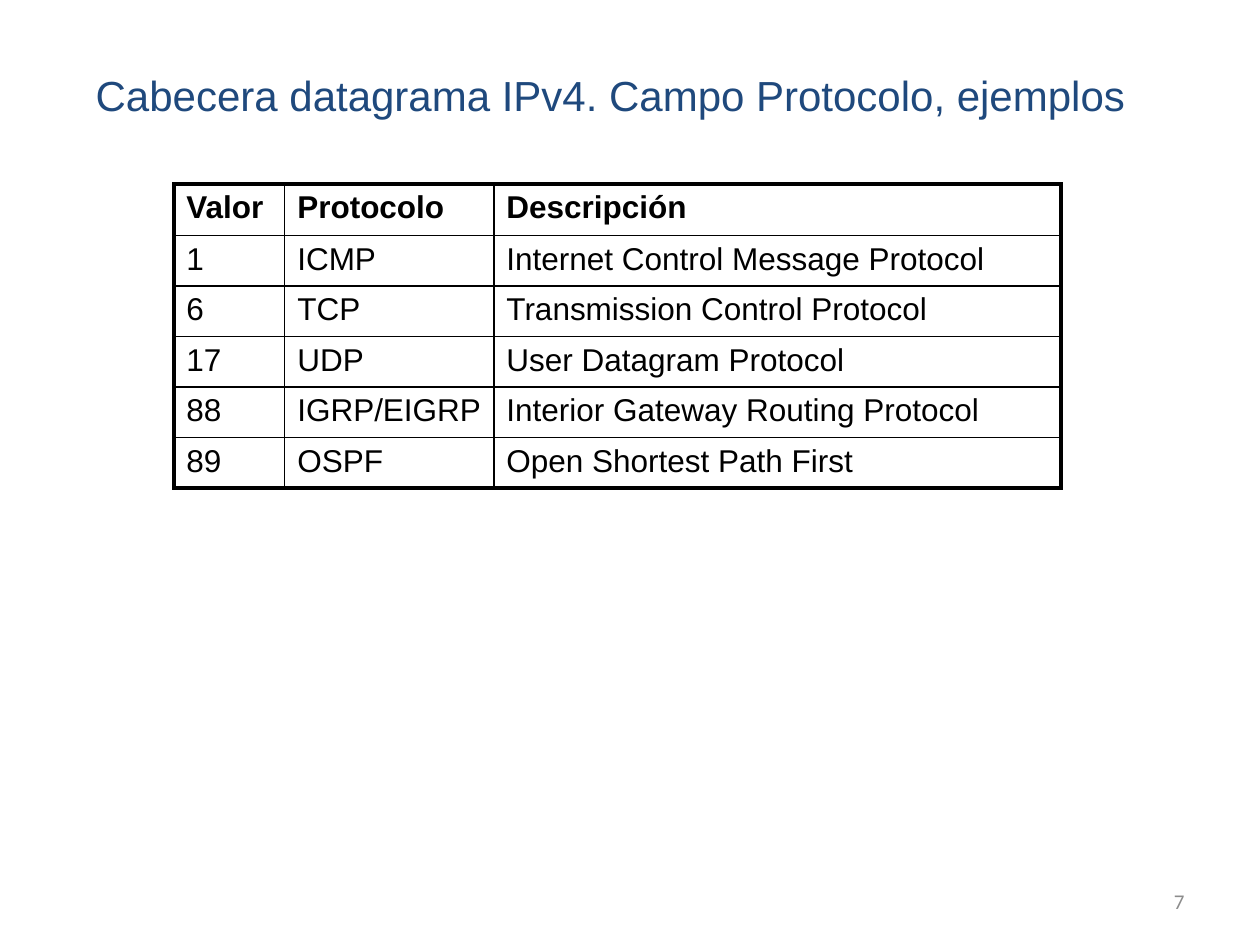
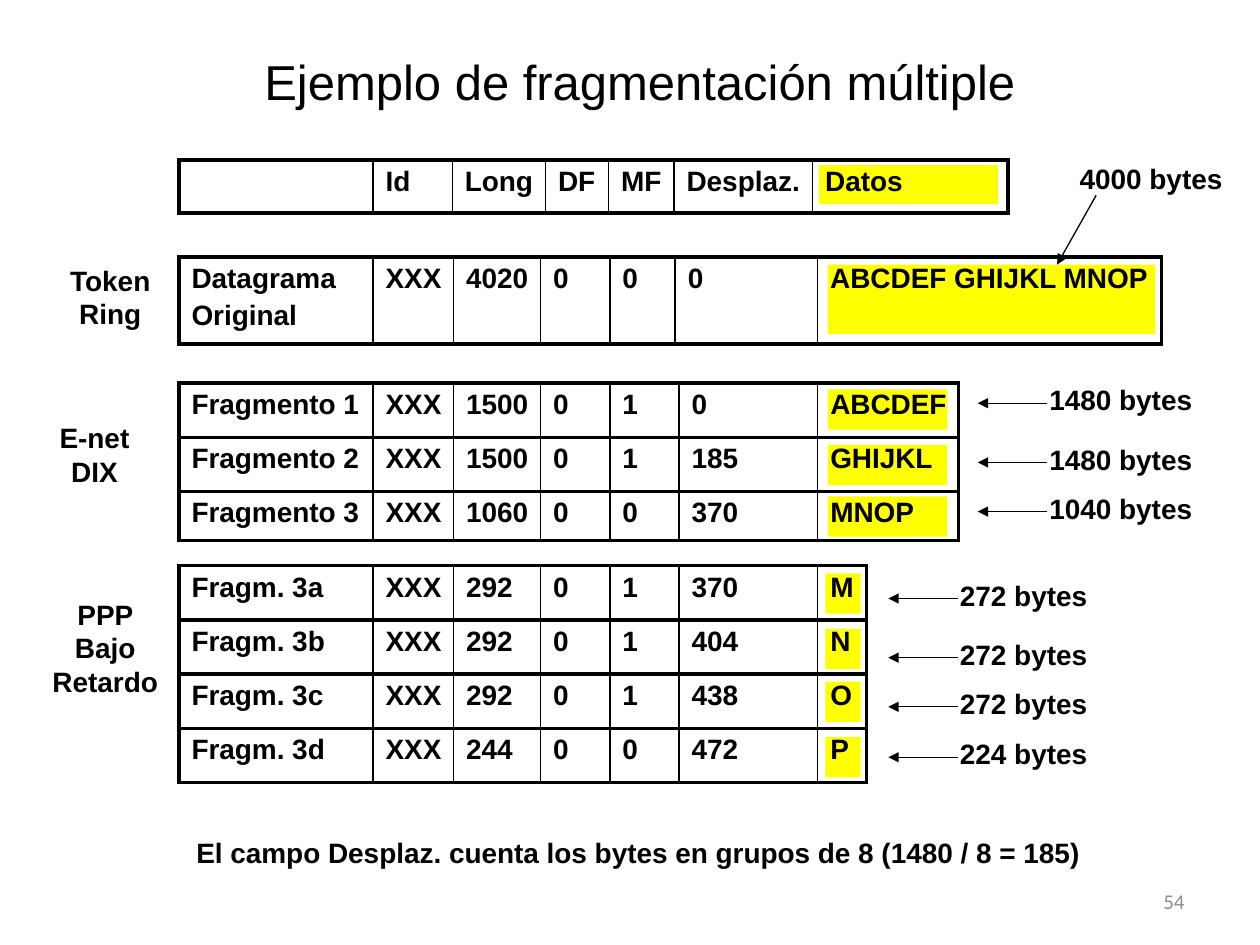
from dataclasses import dataclass

from lxml.etree import SubElement
from pptx import Presentation
from pptx.dml.color import RGBColor
from pptx.enum.shapes import MSO_CONNECTOR, MSO_SHAPE
from pptx.enum.text import MSO_ANCHOR as Anchor, PP_ALIGN as Align
from pptx.oxml.ns import qn
from pptx.util import Inches, Pt


@dataclass(frozen=True)
class Theme:
    font: str = "Arial"
    number_font: str = "Calibri"
    ink: str = "000000"
    title_start: str = "1F497D"
    title_end: str = "28A7DF"
    muted: str = "8C8C8C"
    highlight: str = "FFFF00"
    title_size: float = 28
    long_title_size: float = 24
    protocol_size: float = 18
    body_size: float = 16
    number_size: float = 12
    thick: float = 2.25
    thin: float = 1
    arrow: float = 0.75


THEME = Theme()
NO_TABLE_STYLE = "{2D5ABB26-0587-4C30-8999-92F81FD0307C}"

PROTOCOLS = [
    ("Valor", "Protocolo", "Descripción"),
    ("1", "ICMP", "Internet Control Message Protocol"),
    ("6", "TCP", "Transmission Control Protocol"),
    ("17", "UDP", "User Datagram Protocol"),
    ("88", "IGRP/EIGRP", "Interior Gateway Routing Protocol"),
    ("89", "OSPF", "Open Shortest Path First"),
]
FIELDS = [("", "Id", "Long", "DF", "MF", "Desplaz.", "Datos")]
DATAGRAM = [("Datagrama\nOriginal", "XXX", "4020", "0", "0", "0", "ABCDEF GHIJKL MNOP")]
ETHERNET_FRAGMENTS = [
    ("Fragmento 1", "XXX", "1500", "0", "1", "0", "ABCDEF"),
    ("Fragmento 2", "XXX", "1500", "0", "1", "185", "GHIJKL"),
    ("Fragmento 3", "XXX", "1060", "0", "0", "370", "MNOP"),
]
PPP_FRAGMENTS = [
    ("Fragm. 3a", "XXX", "292", "0", "1", "370", "M"),
    ("Fragm. 3b", "XXX", "292", "0", "1", "404", "N"),
    ("Fragm. 3c", "XXX", "292", "0", "1", "438", "O"),
    ("Fragm. 3d", "XXX", "244", "0", "0", "472", "P"),
]


def write_text(frame, text, *, size=THEME.body_size, bold=False, color=THEME.ink,
               gradient_to=None, font=THEME.font, align=Align.LEFT, line_spacing=None):
    """Write one paragraph per line of text; later paragraphs get a 20 % gap."""
    for index, line in enumerate(text.split("\n")):
        paragraph = frame.add_paragraph() if index else frame.paragraphs[0]
        paragraph.alignment = align
        if index:
            paragraph.space_before = Pt(size * 0.2)
        if line_spacing:
            paragraph.line_spacing = line_spacing
        run = paragraph.add_run()
        run.text = line
        run.font.name, run.font.size, run.font.bold = font, Pt(size), bold
        if gradient_to:
            fill = run.font.fill
            fill.gradient()
            fill.gradient_angle = 330
            for stop, position, tone in zip(fill.gradient_stops, (0.16, 1),
                                            (color, gradient_to)):
                stop.position = position
                stop.color.rgb = RGBColor.from_string(tone)
        else:
            run.font.color.rgb = RGBColor.from_string(color)


def add_label(slide, text, left, top, width, height, *, wrap=True,
              anchor=Anchor.TOP, **text_format):
    box = slide.shapes.add_textbox(*map(Inches, (left, top, width, height)))
    box.text_frame.word_wrap = wrap
    box.text_frame.vertical_anchor = anchor
    write_text(box.text_frame, text, **text_format)


def add_page_number(slide, number):
    add_label(slide, number, 7.17, 6.95, 2.33, 0.4, anchor=Anchor.MIDDLE,
              size=THEME.number_size, font=THEME.number_font,
              color=THEME.muted, align=Align.RIGHT)


def add_highlight(slide, left, top, width, height):
    band = slide.shapes.add_shape(MSO_SHAPE.RECTANGLE,
                                  *map(Inches, (left, top, width, height)))
    band.shadow.inherit = False
    band.fill.solid()
    band.fill.fore_color.rgb = RGBColor.from_string(THEME.highlight)
    band.line.fill.background()


def set_borders(cell, **widths):
    """Draw the sides L, R, T and B, given in that order, in points."""
    properties = cell._tc.get_or_add_tcPr()
    for side, width in widths.items():
        border = SubElement(properties, qn(f"a:ln{side}"), w=str(Pt(width)))
        fill = SubElement(border, qn("a:solidFill"))
        SubElement(fill, qn("a:srgbClr"), val=THEME.ink)


def add_grid(slide, rows, left, top, widths, heights, *, rule=THEME.thick,
             size=THEME.body_size, bold_rows=None):
    """Add a table with a thick frame, thin column lines and the given row rule."""
    table = slide.shapes.add_table(
        len(rows), len(widths),
        *map(Inches, (left, top, sum(widths), sum(heights)))).table
    table.first_row = table.horz_banding = False
    table._tbl.tblPr.find(qn("a:tableStyleId")).text = NO_TABLE_STYLE
    for column, width in zip(table.columns, widths):
        column.width = Inches(width)
    for row, height in zip(table.rows, heights):
        row.height = Inches(height)

    last_row, last_column = len(rows) - 1, len(widths) - 1
    for r, values in enumerate(rows):
        for c, value in enumerate(values):
            cell = table.cell(r, c)
            cell.margin_right = Inches(0.05)  # keeps tight values on one line
            set_borders(cell,
                        L=THEME.thin if c else THEME.thick,
                        R=THEME.thin if c < last_column else THEME.thick,
                        T=rule if r else THEME.thick,
                        B=rule if r < last_row else THEME.thick)
            cell.fill.background()
            if value:
                write_text(cell.text_frame, value, size=size,
                           bold=bold_rows is None or r < bold_rows)


def add_arrow(slide, start, end):
    arrow = slide.shapes.add_connector(MSO_CONNECTOR.STRAIGHT,
                                       *map(Inches, (*start, *end)))
    arrow.line.color.rgb = RGBColor.from_string(THEME.ink)
    arrow.line.width = Pt(THEME.arrow)
    SubElement(arrow.line._get_or_add_ln(), qn("a:tailEnd"), type="triangle")
    SubElement(arrow._element.spPr, qn("a:effectLst"))


def add_byte_counts(slide, counts, arrow_tip, width, heights):
    """Label each fragment with its data size and an arrow pointing left at it."""
    arrow_start = arrow_tip + 0.55
    for count, y in zip(counts, heights):
        add_label(slide, f"{count} bytes", arrow_start - 0.08, y - 0.21, width, 0.37,
                  wrap=False, bold=True)
        add_arrow(slide, (arrow_start, y), (arrow_tip, y))


def build_protocol_slide(slide):
    add_page_number(slide, "7")
    add_grid(slide, PROTOCOLS, 1.38, 1.46, [0.88, 1.66, 4.5], [0.41] + [0.4] * 5,
             rule=THEME.thin, size=THEME.protocol_size, bold_rows=1)
    add_label(slide, "Cabecera datagrama IPv4. Campo Protocolo, ejemplos",
              0.61, 0.58, 8.47, 0.42, size=THEME.long_title_size,
              color=THEME.title_start, gradient_to=THEME.title_end,
              align=Align.CENTER, line_spacing=0.8)


def build_fragmentation_slide(slide):
    add_page_number(slide, "54")

    add_highlight(slide, 6.5, 1.31, 1.42, 0.31)
    add_highlight(slide, 6.57, 2.1, 2.6, 0.55)
    for top in (3.09, 3.53, 3.94):
        add_highlight(slide, 6.57, top, 0.95, 0.32)
    for top in (4.55, 4.99, 5.41, 5.85):
        add_highlight(slide, 6.55, top, 0.28, 0.32)

    left = 1.42
    fragment_columns = [1.54, 0.64, 0.69, 0.55, 0.55, 1.1]
    add_grid(slide, FIELDS, left, 1.27,
             [1.54, 0.63, 0.74, 0.5, 0.52, 1.1, 1.55], [0.42])
    add_grid(slide, ETHERNET_FRAGMENTS, left, 3.04,
             fragment_columns + [1.12], [0.43, 0.43, 0.39])
    add_grid(slide, DATAGRAM, left, 2.04,
             [1.54, 0.64, 0.69, 0.55, 0.52, 1.13, 2.73], [0.69])
    add_grid(slide, PPP_FRAGMENTS, left, 4.49, fragment_columns + [0.39], [0.43] * 4)

    add_label(slide, "Ejemplo de fragmentación múltiple", 2, 0.36, 6.58, 0.57,
              size=THEME.title_size)
    for network, top, width, height in (("Token Ring", 2.04, 1.25, 0.64),
                                        ("E-net DIX", 3.29, 1, 0.64),
                                        ("PPP Bajo Retardo", 4.69, 1.17, 0.9)):
        add_label(slide, network, 0.25, top, width, height, bold=True,
                  align=Align.CENTER)
    add_label(slide, "El campo Desplaz. cuenta los bytes en grupos de 8 (1480 / 8 = 185)",
              1.46, 6.58, 7.4, 0.37, bold=True)

    add_label(slide, "4000 bytes", 8.47, 1.23, 1.34, 0.37, wrap=False, bold=True)
    add_arrow(slide, (8.7, 1.55), (8.39, 2.1))
    add_byte_counts(slide, (1480, 1480, 1040), 7.76, 1.34, (3.2, 3.67, 4.06))
    add_byte_counts(slide, (272, 272, 272, 224), 7.05, 1.21, (4.75, 5.22, 5.61, 6.01))


def main():
    presentation = Presentation()
    presentation.slide_width, presentation.slide_height = Inches(10), Inches(7.5)
    blank = presentation.slide_layouts[6]
    for build in (build_protocol_slide, build_fragmentation_slide):
        build(presentation.slides.add_slide(blank))
    presentation.save("out.pptx")


if __name__ == "__main__":
    main()
